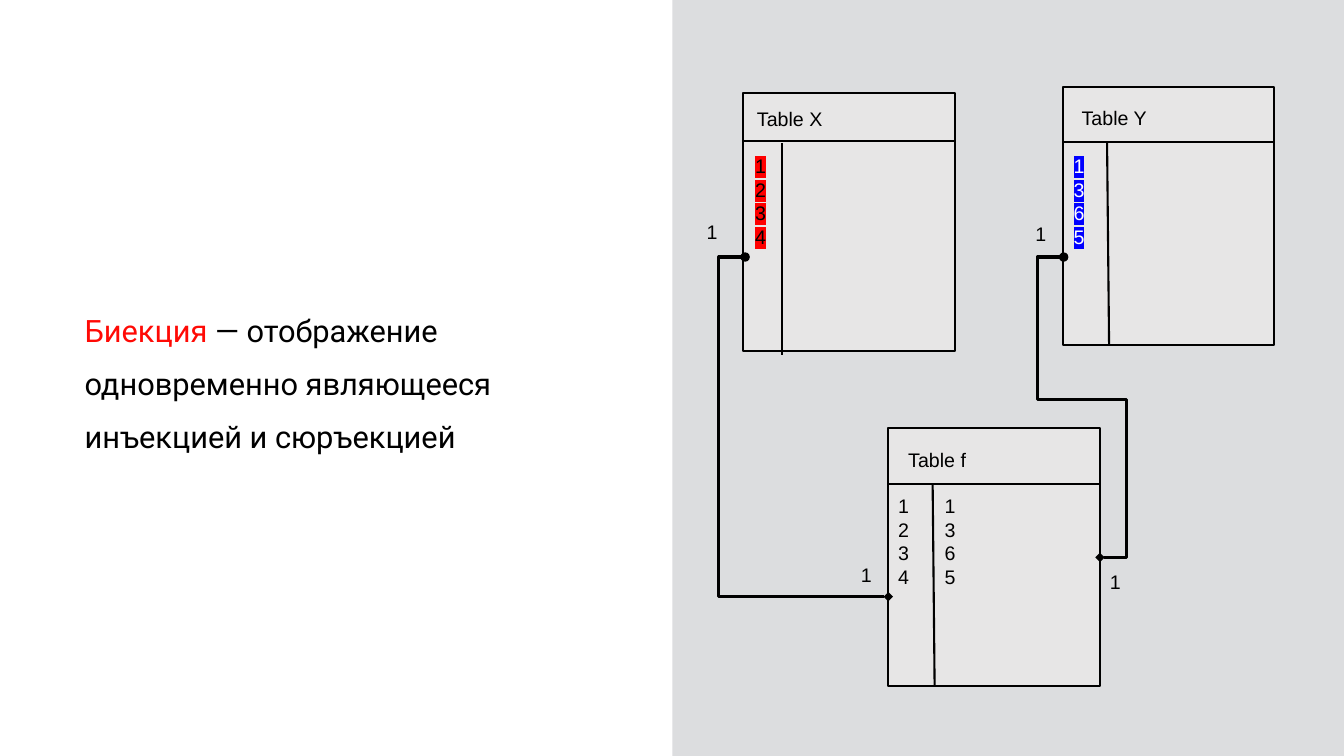
from lxml.etree import SubElement
from pptx import Presentation
from pptx.dml.color import RGBColor
from pptx.enum.shapes import MSO_CONNECTOR as Link, MSO_SHAPE as Shape
from pptx.enum.text import MSO_ANCHOR as Anchor
from pptx.oxml.ns import qn
from pptx.util import Inches, Pt

COLORS = {"panel": "DCDDDF", "table": "E7E6E6", "ink": "000000", "white": "FFFFFF",
          "accent": "FF0A05", "red": "FF0000", "blue": "0000FF"}
TABLE_WIDTH, TABLE_HEIGHT = 2.1, 2.56
LABEL = {"size": Pt(14), "name": "Arial"}
BODY = {"size": Pt(22), "name": "Roboto"}


def color(name):
    """Return the named colour."""
    return RGBColor.from_string(COLORS[name])


def add_span(para, text, style, ink="ink", highlight=None):
    """Add a formatted run, highlighted on request."""
    span = para.add_run()
    span.text = text
    for name, value in style.items():
        setattr(span.font, name, value)
    span.font.color.rgb = color(ink)
    if highlight:
        props = span.font._element
        mark = SubElement(props, qn("a:highlight"))
        SubElement(mark, qn("a:srgbClr"), val=COLORS[highlight])
        props.find(qn("a:solidFill")).addnext(mark)


def add_frame(page, left, top, width, height, inset=0.1):
    """Add an empty wrapping text box and return its frame."""
    box = page.shapes.add_textbox(*map(Inches, (left, top, width, height)))
    frame = box.text_frame
    settings = {"word_wrap": True, "margin_left": Inches(0.1), "margin_right": Inches(0.1),
                "margin_top": Inches(inset), "margin_bottom": Inches(inset)}
    for name, value in settings.items():
        setattr(frame, name, value)
    return frame


def add_lines(page, box, lines, ink="ink", highlight=None):
    """Write one label paragraph per line in the box."""
    frame = add_frame(page, *box)
    for index, line in enumerate(lines):
        para = frame.add_paragraph() if index else frame.paragraphs[0]
        add_span(para, line, LABEL, ink, highlight)


def add_rectangle(page, box, fill, border=None):
    """Add a flat rectangle with an optional black border."""
    shape = page.shapes.add_shape(Shape.RECTANGLE, *map(Inches, box))
    shape.shadow.inherit = False
    shape.fill.solid()
    shape.fill.fore_color.rgb = color(fill)
    if border:
        shape.line.color.rgb = color("ink")
        shape.line.width = Pt(border)
    else:
        shape.line.fill.background()


def add_link(page, start, end, kind=Link.STRAIGHT, weight=1.5):
    """Add a black connector without a shadow."""
    link = page.shapes.add_connector(kind, *map(Inches, (*start, *end)))
    link.line.color.rgb = color("ink")
    link.line.width = Pt(weight)
    SubElement(link._element.spPr, qn("a:effectLst"))
    return link


def add_relation(page, start, end, bends):
    """Add an elbow connector from an oval to a diamond."""
    link = add_link(page, start, end, Link.ELBOW, 2.25)
    geometry = link._element.spPr.find(qn("a:prstGeom"))
    geometry.set("prst", f"bentConnector{len(bends) + 2}")
    guides = geometry.find(qn("a:avLst"))
    for number, bend in enumerate(bends, 1):
        SubElement(guides, qn("a:gd"), name=f"adj{number}", fmla=f"val {round(bend * 100000)}")
    outline = link.line._get_or_add_ln()
    SubElement(outline, qn("a:headEnd"), type="oval")
    SubElement(outline, qn("a:tailEnd"), type="diamond")


def add_entity(page, left, top, title, title_at, header, divider, columns):
    """Draw a table box with its title, rules and columns of values."""
    add_rectangle(page, (left, top, TABLE_WIDTH, TABLE_HEIGHT), "table", 1.5)
    add_link(page, (left + 0.01, top + header), (left + TABLE_WIDTH - 0.01, top + header))
    (start_x, start_y), (end_x, end_y) = divider
    add_link(page, (left + start_x, top + start_y), (left + end_x, top + end_y))
    add_lines(page, (left + title_at[0], top + title_at[1], 2.27, 0.46), [title])
    for (shift_x, shift_y), values, ink, highlight in columns:
        add_lines(page, (left + shift_x, top + shift_y, 0.61, 2.24), values, ink, highlight)


def add_diagram(page, left, top, width, height):
    """Draw the grey panel with three tables and their relations."""
    add_rectangle(page, (left, top, width, height), "panel")
    slanted = ((0.44, 0.55), (0.46, TABLE_HEIGHT))
    entities = [
        (0.7, 0.92, "Table X", (0.04, 0.04), 0.48, ((0.39, 0.5), (0.39, 2.6)),
         [((0.02, 0.51), "1234", "ink", "red")]),
        (3.87, 0.86, "Table Y", (0.09, 0.09), 0.55, slanted,
         [((0.01, 0.57), "1365", "white", "blue")]),
        (2.14, 4.25, "Table f", (0.1, 0.09), 0.55, slanted,
         [((0, 0.55), "1234", "ink", None), ((0.46, 0.55), "1365", "ink", None)]),
    ]
    for shift_x, shift_y, *details in entities:
        add_entity(page, left + shift_x, top + shift_y, *details)
    relations = [((0.72, 2.55), (2.14, 5.92), [-0.184]),
                 ((3.88, 2.55), (4.24, 5.53), [-0.722, 0.473, 1.723])]
    for start, end, bends in relations:
        add_relation(page, (left + start[0], top + start[1]),
                     (left + end[0], top + end[1]), bends)
    for shift_x, shift_y in [(0.24, 2.08), (1.77, 5.48), (4.24, 5.55), (3.5, 2.1)]:
        add_lines(page, (left + shift_x, top + shift_y, 0.72, 0.72), ["1"])


def add_definition(page, left, top, width, height):
    """Write the definition, centred vertically in its box."""
    frame = add_frame(page, left, top, width, height, 0.05)
    frame.vertical_anchor = Anchor.MIDDLE
    para = frame.paragraphs[0]
    para.line_spacing = 1.43
    add_span(para, "Биекция ", BODY, "accent")
    add_span(para, "— отображение одновременно являющееся инъекцией и сюръекцией", BODY)


def main():
    """Build and save the deck."""
    deck = Presentation()
    deck.slide_width, deck.slide_height = Inches(13.33), Inches(7.5)
    page = deck.slides.add_slide(deck.slide_layouts[6])
    add_diagram(page, 6.67, 0, 6.66, 7.5)
    add_definition(page, 0.74, 0.76, 5.12, 5.92)
    deck.save("out.pptx")


if __name__ == "__main__":
    main()
